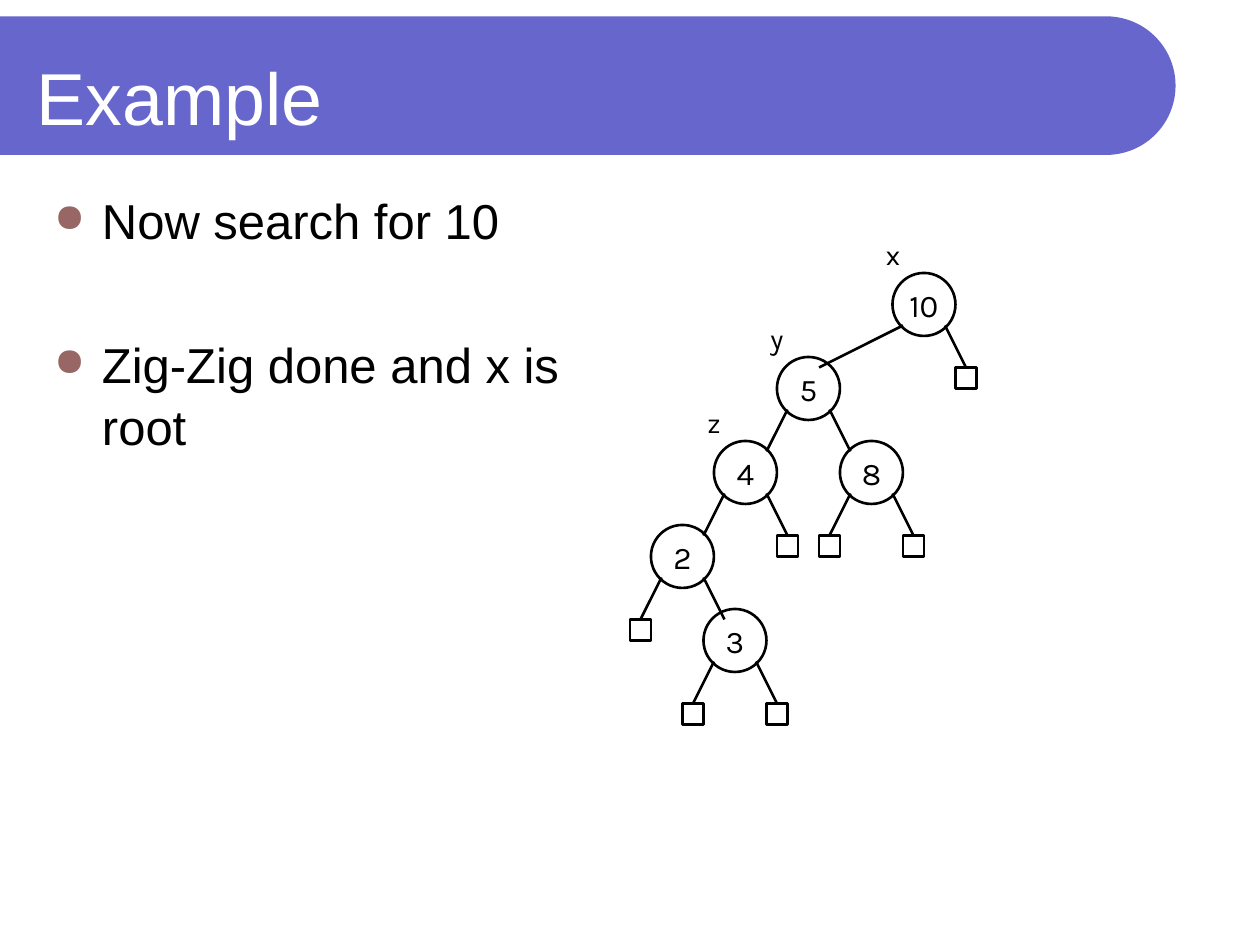
from dataclasses import dataclass
from typing import Optional

from lxml.etree import SubElement
from pptx import Presentation
from pptx.dml.color import RGBColor
from pptx.enum.shapes import MSO_CONNECTOR as Connector, MSO_SHAPE as Shape
from pptx.enum.text import MSO_ANCHOR as Anchor, PP_ALIGN as Align
from pptx.oxml.ns import qn
from pptx.util import Inches, Pt

UNIT = 1 / 12


def colour(value):
    return RGBColor.from_string(value)


@dataclass
class Node:
    key: str
    offset: int = 0
    left: Optional["Node"] = None
    right: Optional["Node"] = None
    reach: int = 4
    label: str = ""


class TreeSlide:
    """Draws the title, bullets and search tree of one slide in a shared style."""

    ink = "000000"
    paper = "FFFFFF"
    banner_fill = "6666CC"
    bullet_fill = "996666"
    text_font = "Arial"
    tree_font = "Karla"

    def __init__(self, page):
        self.page = page

    def style_para(self, para, size, font, ink):
        para.font.size = Pt(size)
        para.font.name = font
        para.font.color.rgb = colour(ink)

    def banner(self, top, right, height):
        radius = height / 2
        shape = self.page.shapes.add_shape(
            Shape.ROUND_2_SAME_RECTANGLE,
            Inches((right - height) / 2), Inches(top - (right - height) / 2),
            Inches(height), Inches(right))
        shape.rotation = 90
        shape.adjustments[0] = radius / height
        shape.shadow.inherit = False
        shape.fill.solid()
        shape.fill.fore_color.rgb = colour(self.banner_fill)
        shape.line.fill.background()

    def text_frame(self, left, top, width, height):
        box = self.page.shapes.add_textbox(
            Inches(left), Inches(top), Inches(width), Inches(height))
        frame = box.text_frame
        frame.word_wrap = True
        frame.margin_left = frame.margin_right = Inches(0.08)
        frame.margin_top, frame.margin_bottom = Inches(0.1), 0
        return frame

    def title(self, text, left, top, width, height):
        frame = self.text_frame(left, top, width, height)
        frame.vertical_anchor = Anchor.MIDDLE
        frame.text = text
        self.style_para(frame.paragraphs[0], 42, self.text_font, self.paper)

    def bullets(self, items, left, top, width, height, gap):
        frame = self.text_frame(left, top, width, height)
        frame.text = "\n".join(items)
        for index, para in enumerate(frame.paragraphs):
            para.line_spacing = 1.05
            if index:
                para.space_before = Pt(gap)
            self.add_bullet(para)
            self.style_para(para, 28, self.text_font, self.ink)

    def add_bullet(self, para):
        props = para._p.get_or_add_pPr()
        props.set("marL", str(Inches(0.38)))
        props.set("indent", str(-Inches(0.38)))
        tint = SubElement(props, qn("a:buClr"))
        SubElement(tint, qn("a:srgbClr")).set("val", self.bullet_fill)
        SubElement(props, qn("a:buSzPct")).set("val", "80000")
        SubElement(props, qn("a:buChar")).set("char", "●")

    def outline(self, kind, centre, top, size):
        shape = self.page.shapes.add_shape(
            kind, Inches((centre - size / 2) * UNIT), Inches(top * UNIT),
            Inches(size * UNIT), Inches(size * UNIT))
        shape.shadow.inherit = False
        shape.fill.background()
        shape.line.color.rgb = colour(self.ink)
        shape.line.width = Pt(1.5)
        return shape

    def circle(self, text, centre, top):
        shape = self.outline(Shape.OVAL, centre, top, 6)
        shape.fill.solid()
        shape.fill.fore_color.rgb = colour(self.paper)
        frame = shape.text_frame
        frame.word_wrap = False
        frame.vertical_anchor = Anchor.MIDDLE
        self.centred_text(frame, text, 18)

    def centred_text(self, frame, text, size):
        frame.text = text
        para = frame.paragraphs[0]
        para.alignment = Align.CENTER
        self.style_para(para, size, self.tree_font, self.ink)

    def label(self, text, centre, top):
        box = self.page.shapes.add_textbox(
            Inches(centre * UNIT - 0.4), Inches((top - 4) * UNIT),
            Inches(0.3), Inches(0.37))
        box.text_frame.word_wrap = False
        self.centred_text(box.text_frame, text, 16)

    def edge(self, start_x, start_y, end_x, end_y):
        ends = [Inches(value * UNIT) for value in (start_x, start_y, end_x, end_y)]
        line = self.page.shapes.add_connector(Connector.STRAIGHT, *ends)
        line.line.color.rgb = colour(self.ink)
        line.line.width = Pt(1.5)
        SubElement(line._element.spPr, qn("a:effectLst"))

    def tree(self, node, centre, top):
        self.circle(node.key, centre, top)
        if node.label:
            self.label(node.label, centre, top)
        for side, child in ((-1, node.left), (1, node.right)):
            reach = child.reach if child else 4
            if child:
                self.tree(child, centre + side * child.offset, top + 8)
            else:
                self.outline(Shape.RECTANGLE, centre + side * 4, top + 9, 2)
            self.edge(centre + side * 2, top + 5, centre + side * reach, top + 9)


def main():
    deck = Presentation()
    deck.slide_width, deck.slide_height = Inches(10), Inches(7.5)
    slide = TreeSlide(deck.slides.add_slide(deck.slide_layouts[6]))
    slide.banner(0.13, 9.33, 1.1)
    slide.title("Example", 0.21, 0.21, 8.77, 1)
    slide.bullets(["Now search for 10", "Zig-Zig done and x is root"],
                  0.35, 1.39, 4.56, 5.75, gap=47)
    two = Node("2", 6, right=Node("3", 5))
    four = Node("4", 6, left=two, label="z")
    five = Node("5", 11, left=four, right=Node("8", 6), reach=10, label="y")
    slide.tree(Node("10", left=five, label="x"), centre=88, top=26)
    deck.save("out.pptx")


if __name__ == "__main__":
    main()
